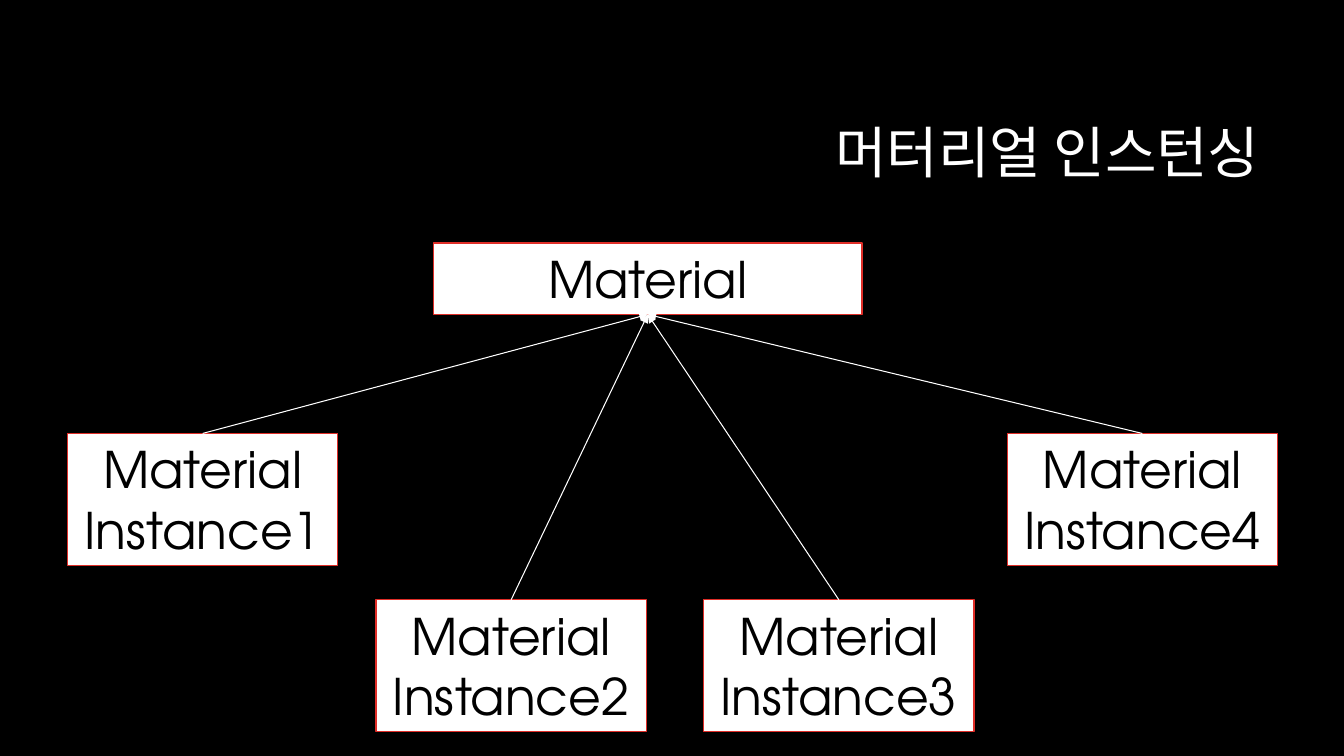
from lxml import etree
from pptx import Presentation
from pptx.dml.color import RGBColor
from pptx.enum.shapes import MSO_CONNECTOR, MSO_SHAPE
from pptx.enum.text import MSO_ANCHOR, MSO_AUTO_SIZE, PP_ALIGN
from pptx.oxml.ns import qn
from pptx.util import Inches, Pt

STRAIGHT = MSO_CONNECTOR.STRAIGHT
RECTANGLE = MSO_SHAPE.RECTANGLE
TOP, MIDDLE = MSO_ANCHOR.TOP, MSO_ANCHOR.MIDDLE
GROW = MSO_AUTO_SIZE.SHAPE_TO_FIT_TEXT
CENTER, RIGHT = PP_ALIGN.CENTER, PP_ALIGN.RIGHT

FONT = "TeX Gyre Adventor"
COLORS = {"black": "000000", "white": "FFFFFF", "red": "DF2E28"}

TITLE = ("머터리얼 인스턴싱", (3.17, 0.84, 9.42, 1.41))
MATERIAL = ("Material", (4.3, 2.41, 4.25, 0.71))
INSTANCE_SIZE = (2.68, 1.31)
INSTANCES = [
    ("Material Instance1", (0.67, 4.3)),
    ("Material Instance2", (3.73, 5.95)),
    ("Material Instance3", (6.98, 5.95)),
    ("Material Instance4", (9.99, 4.3)),
]


def color(name):
    return RGBColor.from_string(COLORS[name])


def write_text(shape, text, *, size, ink, align, anchor, spacing=1.0):
    frame = shape.text_frame
    frame.word_wrap = True
    frame.vertical_anchor = anchor
    paragraph = frame.paragraphs[0]
    paragraph.text = text
    paragraph.alignment = align
    paragraph.line_spacing = spacing
    font = paragraph.runs[0].font
    font.name = FONT
    font.size = Pt(size)
    font.color.rgb = color(ink)


def add_box(slide, text, area):
    shape = slide.shapes.add_shape(RECTANGLE, *map(Inches, area))
    shape.shadow.inherit = False
    shape.fill.solid()
    shape.fill.fore_color.rgb = color("white")
    shape.line.color.rgb = color("red")
    shape.line.width = Pt(1)
    write_text(shape, text, size=36, ink="black", align=CENTER, anchor=TOP)
    shape.text_frame.auto_size = GROW
    return shape


def add_arrow(slide, child, parent):
    arrow = slide.shapes.add_connector(STRAIGHT, 0, 0, 0, 0)
    arrow.begin_connect(child, 0)
    arrow.end_connect(parent, 2)
    arrow.line.color.rgb = color("white")
    arrow.line.width = Pt(0.75)
    etree.SubElement(arrow.line._get_or_add_ln(), qn("a:tailEnd"), type="triangle")
    etree.SubElement(arrow._element.spPr, qn("a:effectLst"))


def main():
    presentation = Presentation()
    presentation.slide_width = Inches(13.33)
    presentation.slide_height = Inches(7.5)
    slide = presentation.slides.add_slide(presentation.slide_layouts[6])
    slide.background.fill.solid()
    slide.background.fill.fore_color.rgb = color("black")

    title_text, title_area = TITLE
    title = slide.shapes.add_textbox(*map(Inches, title_area))
    write_text(title, title_text, size=40, ink="white", align=RIGHT, anchor=MIDDLE, spacing=0.9)

    material = add_box(slide, *MATERIAL)
    instances = [add_box(slide, text, place + INSTANCE_SIZE) for text, place in INSTANCES]
    for instance in instances:
        add_arrow(slide, instance, material)

    presentation.save("out.pptx")


if __name__ == "__main__":
    main()
